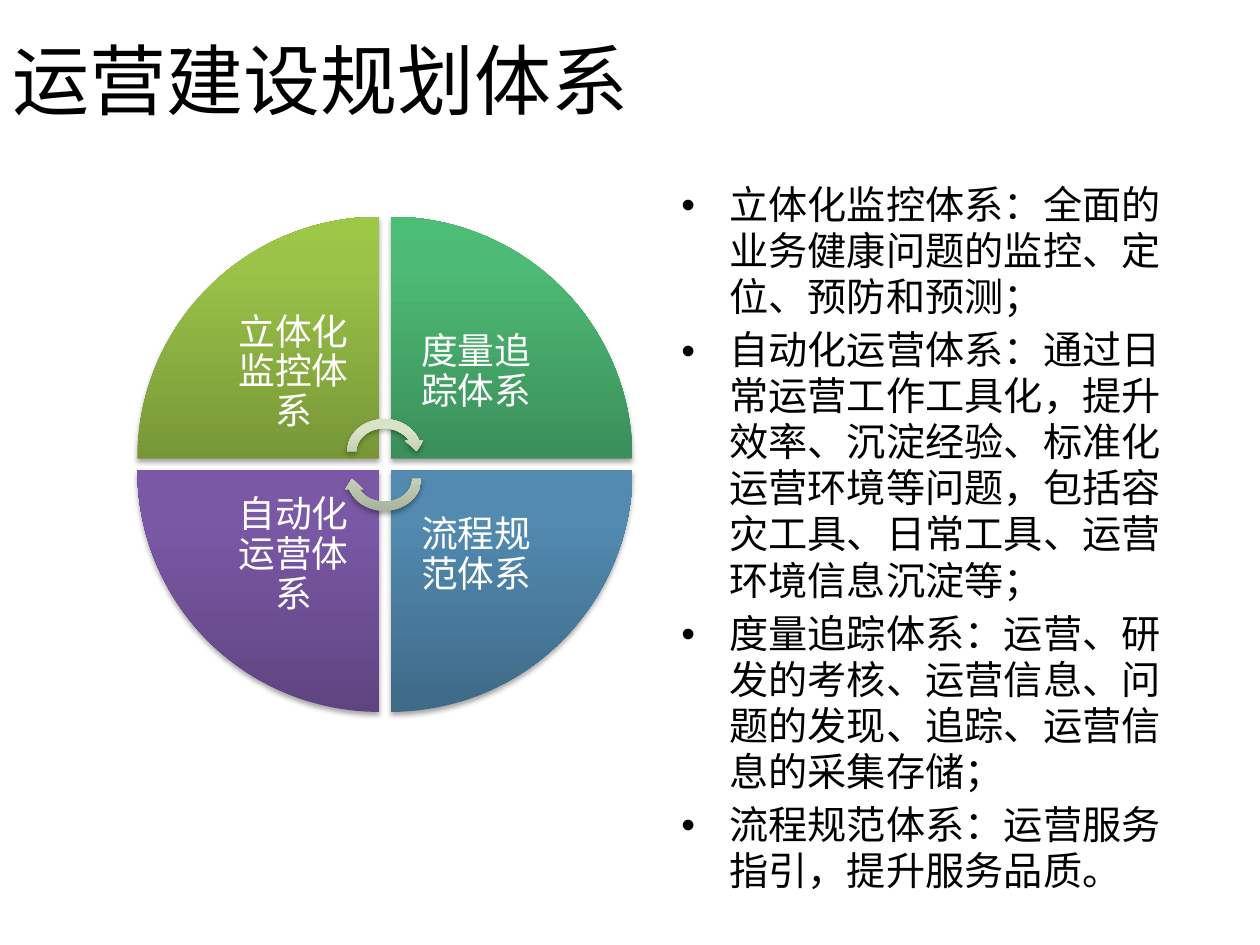
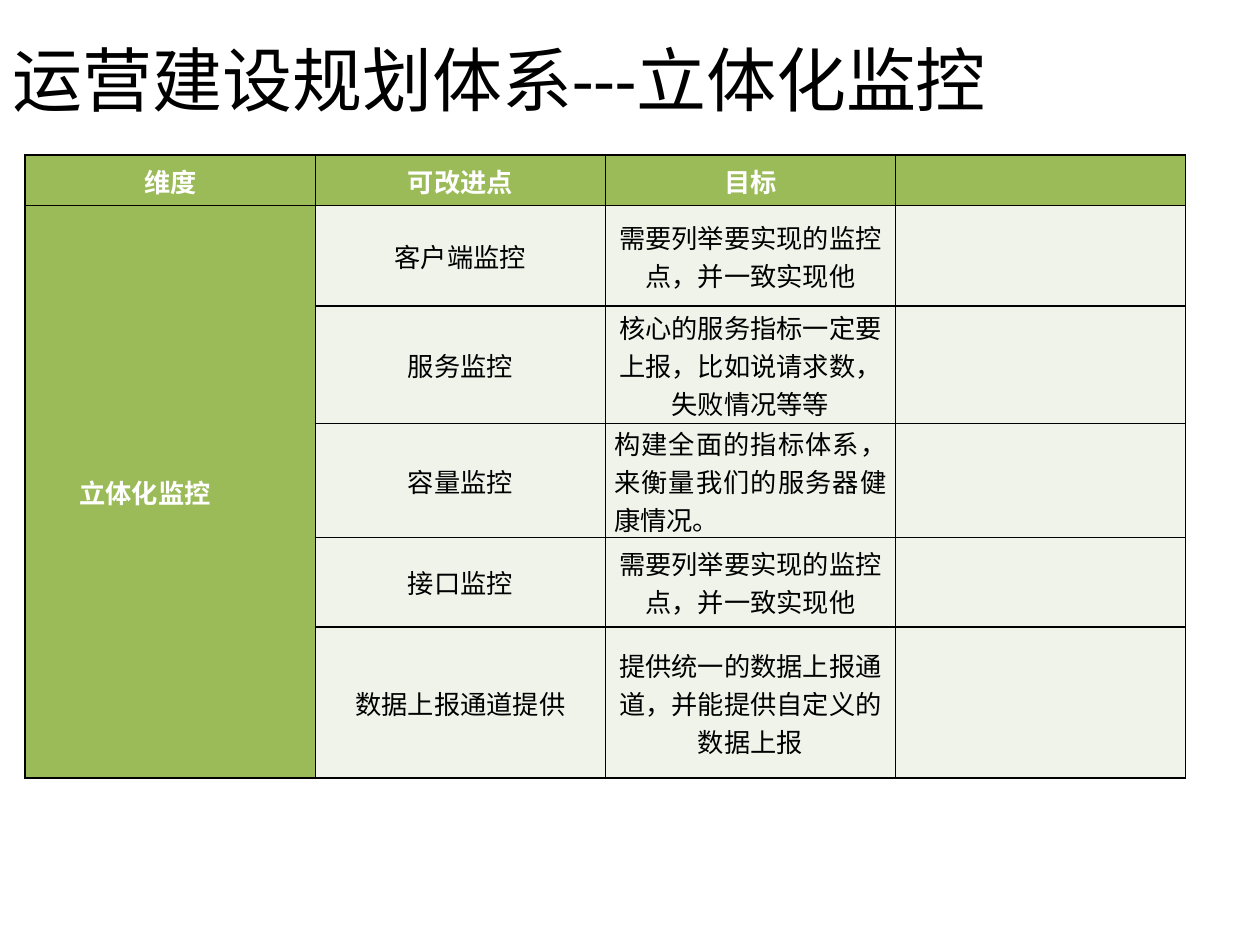
"""Build two slides on the operations planning system."""
from lxml import etree
from pptx import Presentation
from pptx import util as u
from pptx.dml.color import RGBColor
from pptx.enum import shapes, text
from pptx.oxml import parse_xml
from pptx.oxml.ns import nsdecls, qn

BLACK = RGBColor(0x00, 0x00, 0x00)
WHITE = RGBColor(0xFF, 0xFF, 0xFF)
HEADER = RGBColor(0x9B, 0xBB, 0x59)
CELL = RGBColor(0xEF, 0xF3, 0xEA)

GREEN = [RGBColor.from_string(c) for c in ("779737", "9BC348", "9DC746")]
TEAL = [RGBColor.from_string(c) for c in ("3B8F5A", "4DBA75", "4BBD75")]
BLUE = [RGBColor.from_string(c) for c in ("3F6A88", "528AB0", "518BB3")]
PURPLE = [RGBColor.from_string(c) for c in ("5F4480", "7B58A6", "7C57A8")]
SAGE = [RGBColor.from_string(c) for c in ("A6AF9A", "D8E3C8", "D9E4C8")]

LEFT, CENTER, JUSTIFY = (text.PP_ALIGN.LEFT, text.PP_ALIGN.CENTER,
                         text.PP_ALIGN.JUSTIFY)
MIDDLE = text.MSO_ANCHOR.MIDDLE
COLS, ROWS = 100, 75


def apply(target, **values):
    """Set each named attribute on the target."""
    for name, value in values.items():
        setattr(target, name, value)


class Deck:
    """Holds the shared style and the slide being built."""

    font = "Calibri"

    def __init__(self):
        """Start an empty 4:3 presentation."""
        self.prs = Presentation()
        apply(self.prs, slide_width=u.Inches(10), slide_height=u.Inches(7.5))
        self.s = None

    def box(self, x, y, w, h):
        """Turn grid columns and rows into slide lengths."""
        dx, dy = self.prs.slide_width / COLS, self.prs.slide_height / ROWS
        return [round(v) for v in (x * dx, y * dy, w * dx, h * dy)]

    def add_words(self, p, words, size, color=BLACK, bold=False, **para):
        """Fill a paragraph with one formatted run."""
        apply(p, **para)
        r = p.add_run()
        r.text = words
        apply(r.font, name=self.font, size=u.Pt(size), bold=bold)
        r.font.color.rgb = color
        ea = etree.SubElement(r.font._element, qn("a:ea"))
        ea.set("typeface", self.font)

    def slide(self, title, size):
        """Add a title-only slide and format its title."""
        self.s = self.prs.slides.add_slide(self.prs.slide_layouts[5])
        sp = self.s.shapes.title
        names = ("left", "top", "width", "height")
        apply(sp, **dict(zip(names, self.box(0, 0, 90, 12.5))))
        apply(sp.text_frame, vertical_anchor=MIDDLE, word_wrap=True)
        self.add_words(sp.text_frame.paragraphs[0], title, size,
                       alignment=LEFT)

    def frame(self, area, inset=None, **values):
        """Add a wrapping text box and return its frame."""
        tf = self.s.shapes.add_textbox(*self.box(*area)).text_frame
        apply(tf, word_wrap=True, **values)
        if inset is not None:
            for side in ("left", "right", "top", "bottom"):
                setattr(tf, f"margin_{side}", u.Inches(inset))
        return tf

    def label(self, area, words):
        """Add a centred white label."""
        tf = self.frame(area, inset=0.16, vertical_anchor=MIDDLE)
        self.add_words(tf.paragraphs[0], words, 21, WHITE,
                       alignment=CENTER, line_spacing=0.9)

    def bullets(self, area, items):
        """Add a bulleted list with hanging indents."""
        tf = self.frame(area)
        for i, item in enumerate(items):
            p = tf.add_paragraph() if i else tf.paragraphs[0]
            self.add_words(p, item, 22.4, space_before=u.Pt(4),
                           line_spacing=0.98)
            pPr = p._p.get_or_add_pPr()
            pPr.set("marL", str(u.Inches(0.38)))
            pPr.set("indent", str(-u.Inches(0.38)))
            etree.SubElement(pPr, qn("a:buFont")).set("typeface", "Arial")
            etree.SubElement(pPr, qn("a:buChar")).set("char", "•")

    def glossy(self, kind, area, colors, rotation=0):
        """Add a shape with an upright gradient and a soft shadow."""
        sp = self.s.shapes.add_shape(kind, *self.box(*area))
        sp.rotation = rotation
        sp.shadow.inherit = False
        sp.line.fill.background()
        sp.fill.background()
        stops = "".join(
            f'<a:gs pos="{pos}"><a:srgbClr val="{c}"/></a:gs>'
            for pos, c in zip((0, 80000, 100000), colors))
        spPr = sp._element.spPr
        spPr.replace(spPr.find(qn("a:noFill")), parse_xml(
            f'<a:gradFill {nsdecls("a")} rotWithShape="0">'
            f'<a:gsLst>{stops}</a:gsLst>'
            '<a:lin ang="16200000" scaled="0"/></a:gradFill>'))
        spPr.find(qn("a:effectLst")).append(parse_xml(
            f'<a:outerShdw {nsdecls("a")} blurRad="{u.Pt(3.1)}" '
            f'dist="{u.Pt(1.8)}" dir="5400000" rotWithShape="0">'
            '<a:srgbClr val="000000"><a:alpha val="35000"/></a:srgbClr>'
            '</a:outerShdw>'))

    def cell(self, cell, words, fill, align=CENTER, indent=0, **font):
        """Fill, border and label one table cell."""
        apply(cell, vertical_anchor=MIDDLE, margin_top=0, margin_bottom=0,
              margin_left=u.Inches(0.07), margin_right=u.Inches(0.07))
        cell.fill.solid()
        cell.fill.fore_color.rgb = fill
        tcPr = cell._tc.get_or_add_tcPr()
        for i, side in enumerate("LRTB"):
            tcPr.insert(i, parse_xml(
                f'<a:ln{side} {nsdecls("a")} w="{u.Pt(1)}"><a:solidFill>'
                f'<a:srgbClr val="{BLACK}"/></a:solidFill></a:ln{side}>'))
        if words:
            p = cell.text_frame.paragraphs[0]
            self.add_words(p, words, 15, alignment=align,
                           line_spacing=u.Pt(21.7), **font)
            p._p.get_or_add_pPr().set("indent", str(u.Inches(indent)))

    def table(self, area, heights, header, topic, rows):
        """Add a table whose first column is one merged topic."""
        tb = self.s.shapes.add_table(
            len(rows) + 1, len(header), *self.box(*area)).table
        for row, height in zip(tb.rows, heights):
            row.height = self.box(0, 0, 0, height)[3]
        strong = dict(fill=HEADER, color=WHITE, bold=True)
        for j, words in enumerate(header):
            self.cell(tb.cell(0, j), words, **strong)
        for i, (point, goal, align) in enumerate(rows, 1):
            self.cell(tb.cell(i, 0), topic if i == 1 else "",
                      align=JUSTIFY, indent=0.36, **strong)
            self.cell(tb.cell(i, 1), point, CELL)
            self.cell(tb.cell(i, 2), goal, CELL, align)
            self.cell(tb.cell(i, 3), "", CELL)
        tb.cell(1, 0).merge(tb.cell(len(rows), 0))


def systems_slide(deck):
    """Draw the four systems as a cycle beside their descriptions."""
    deck.slide("运营建设规划体系", 44)
    deck.bullets((53.1, 14, 41.9, 51.6), [
        "立体化监控体系：全面的业务健康问题的监控、定位、预防和预测；",
        "自动化运营体系：通过日常运营工作工具化，提升效率、沉淀经验、"
        "标准化运营环境等问题，包括容灾工具、日常工具、运营环境信息沉淀等；",
        "度量追踪体系：运营、研发的考核、运营信息、问题的发现、追踪、"
        "运营信息的采集存储；",
        "流程规范体系：运营服务指引，提升服务品质。"])
    left, top, step, wedge, label = 10.9, 17.2, 20.1, 19.2, 13.6
    inner = wedge - label
    quadrants = [("立体化监控体系", GREEN, 0, 0), ("度量追踪体系", TEAL, 1, 0),
                 ("流程规范体系", BLUE, 1, 1), ("自动化运营体系", PURPLE, 0, 1)]
    for i, (words, colors, col, row) in enumerate(quadrants):
        x, y = left + col * step, top + row * step
        deck.glossy(shapes.MSO_SHAPE.PIE_WEDGE, (x, y, wedge, wedge),
                    colors, 90 * i)
        deck.label((x + inner * (1 - col), y + inner * (1 - row),
                    label, label), words)
    for y, rotation in ((32.9, 0), (35.1, 180)):
        deck.glossy(shapes.MSO_SHAPE.CIRCULAR_ARROW, (27.2, y, 6.6, 5.8),
                    SAGE, rotation)


def monitoring_slide(deck):
    """Tabulate the monitoring improvements and their goals."""
    deck.slide("运营建设规划体系---立体化监控", 40)
    listed = "需要列举要实现的监控点，并一致实现他"
    deck.table(
        (2, 12.3, 92.1, 49.4), (4, 8, 9.3, 9, 7.1, 12),
        ("维度", "可改进点", "目标", ""), "立体化监控", [
            ("客户端监控", listed, CENTER),
            ("服务监控", "核心的服务指标一定要上报，比如说请求数，失败情况等等",
             CENTER),
            ("容量监控", "构建全面的指标体系，来衡量我们的服务器健康情况。",
             JUSTIFY),
            ("接口监控", listed, CENTER),
            ("数据上报通道提供", "提供统一的数据上报通道，并能提供自定义的数据上报",
             CENTER)])


def main():
    """Build and save the deck."""
    deck = Deck()
    systems_slide(deck)
    monitoring_slide(deck)
    deck.prs.save("out.pptx")


if __name__ == "__main__":
    main()
